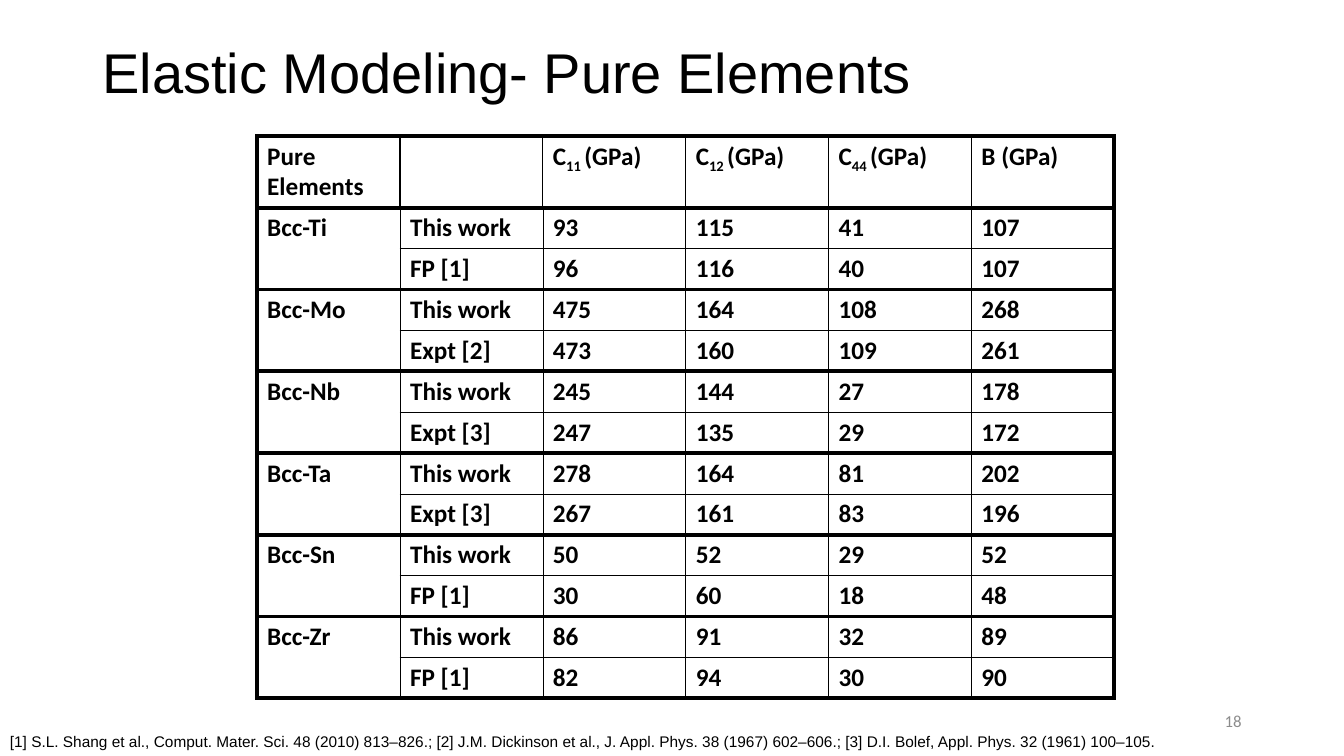
from lxml.etree import SubElement
from pptx import Presentation
from pptx.dml.color import RGBColor
from pptx.enum.text import MSO_ANCHOR as Anchor, PP_ALIGN as Align
from pptx.oxml.ns import qn
from pptx.util import Cm, Pt

TITLE = "Elastic Modeling- Pure Elements"
REFERENCES = (
    "[1] S.L. Shang et al., Comput. Mater. Sci. 48 (2010) 813–826.; "
    "[2] J.M. Dickinson et al., J. Appl. Phys. 38 (1967) 602–606.; "
    "[3] D.I. Bolef, Appl. Phys. 32 (1961) 100–105."
)
PAGE_NUMBER = "18"
HEADINGS = [
    ("Pure Elements",), (), ("C", "11 ", "(GPa)"),
    ("C", "12 ", "(GPa)"), ("C", "44 ", "(GPa)"), ("B (GPa)",),
]
ELEMENTS = [
    ("Bcc-Ti", (93, 115, 41, 107), "FP [1]", (96, 116, 40, 107)),
    ("Bcc-Mo", (475, 164, 108, 268), "Expt [2]", (473, 160, 109, 261)),
    ("Bcc-Nb", (245, 144, 27, 178), "Expt [3]", (247, 135, 29, 172)),
    ("Bcc-Ta", (278, 164, 81, 202), "Expt [3]", (267, 161, 83, 196)),
    ("Bcc-Sn", (50, 52, 29, 52), "FP [1]", (30, 60, 18, 48)),
    ("Bcc-Zr", (86, 91, 32, 89), "FP [1]", (82, 94, 30, 90)),
]
BLACK, GREY = "000000", "8C8C8C"
THICK, MEDIUM, THIN = 3, 1, 0.5
COLUMN_WIDTH, HEADER_HEIGHT, ROW_HEIGHT = 3.6, 1.8, 1.03


def color(value):
    return RGBColor.from_string(value)


def set_font(para, name, size, value=BLACK, bold=False):
    para.font.name = name
    para.font.size = Pt(size)
    para.font.bold = bold
    para.font.color.rgb = color(value)


def add_text(page, area, text, name, size, value=BLACK):
    box = page.shapes.add_textbox(*map(Cm, area))
    box.text_frame.word_wrap = True
    para = box.text_frame.paragraphs[0]
    para.text = text
    set_font(para, name, size, value)
    return box.text_frame


def set_borders(cell, widths):
    properties = cell._tc.get_or_add_tcPr()
    for side, width in zip("LRTB", widths):
        line = SubElement(properties, qn(f"a:ln{side}"), w=str(Pt(width)))
        fill = SubElement(line, qn("a:solidFill"))
        SubElement(fill, qn("a:srgbClr"), val=BLACK)


def fill_cell(cell, parts):
    para = cell.text_frame.paragraphs[0]
    for index, part in enumerate(parts):
        span = para.add_run()
        span.text = part
        if index == 1:
            span.font._element.set("baseline", "-25000")
    set_font(para, "Calibri", 18, bold=True)


def add_elastic_table(page):
    rows = [HEADINGS]
    for element, ours, source, theirs in ELEMENTS:
        rows.append([(element,), ("This work",), *((str(n),) for n in ours)])
        rows.append([(), (source,), *((str(n),) for n in theirs)])
    last = len(HEADINGS) - 1
    height = HEADER_HEIGHT + ROW_HEIGHT * (len(rows) - 1)
    table = page.shapes.add_table(
        len(rows), len(HEADINGS), Cm(6.48), Cm(3.43),
        Cm(COLUMN_WIDTH * len(HEADINGS)), Cm(height)).table
    table.first_row = table.horz_banding = False
    for column in table.columns:
        column.width = Cm(COLUMN_WIDTH)
    for r, row in enumerate(rows):
        table.rows[r].height = Cm(ROW_HEIGHT if r else HEADER_HEIGHT)
        opens_group, closes_group = r % 2 == 1, r % 2 == 0
        inner = THIN if r else MEDIUM
        for c, parts in enumerate(row):
            cell = table.cell(r, c)
            fill_cell(cell, parts)
            set_borders(cell, (
                THICK if c == 0 else inner,
                THICK if c == last else inner,
                THICK if r == 0 or opens_group else THIN,
                THICK if closes_group or c == 0 else THIN,
            ))
            cell.fill.background()
    for r in range(1, len(rows), 2):
        table.cell(r, 0).merge(table.cell(r + 1, 0))


def main():
    deck = Presentation()
    deck.slide_width, deck.slide_height = Cm(33.87), Cm(19.05)
    page = deck.slides.add_slide(deck.slide_layouts[6])

    add_elastic_table(page)
    add_text(page, (0, 18.32, 30.03, 0.73), REFERENCES, "Arial", 11)
    number = add_text(page, (23.92, 17.66, 7.62, 1.01), PAGE_NUMBER, "Calibri", 12, GREY)
    number.vertical_anchor = Anchor.MIDDLE
    number.paragraphs[0].alignment = Align.RIGHT
    title = add_text(page, (2.33, 1.01, 29.21, 3.68), TITLE, "Arial", 40)
    title.paragraphs[0].line_spacing = 0.9

    deck.save("out.pptx")


if __name__ == "__main__":
    main()
